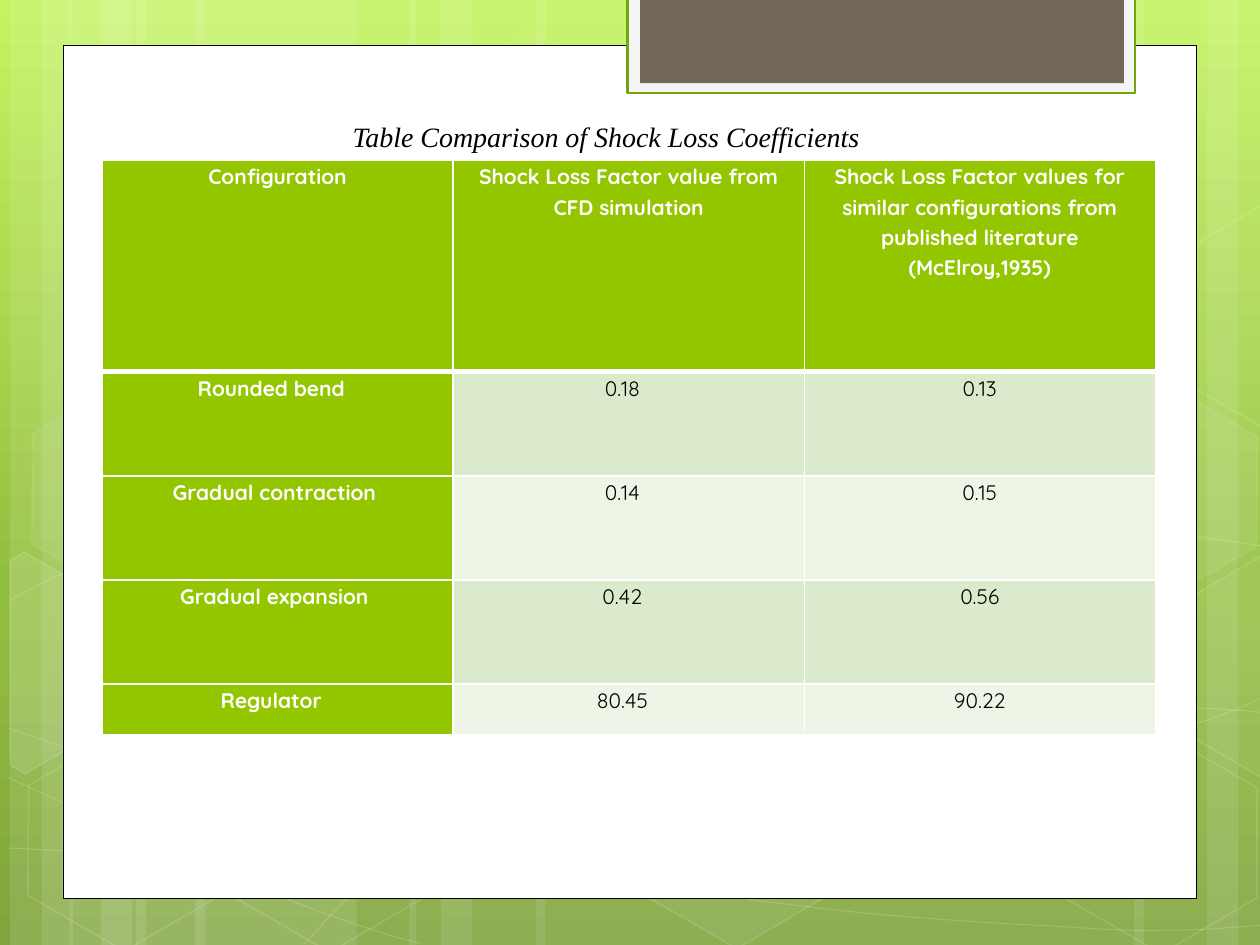
import copy
import math
from typing import NamedTuple, Optional

import pptx
import pptx.dml.color
import pptx.enum.shapes
import pptx.enum.text
import pptx.oxml
import pptx.oxml.ns
import pptx.util
from pptx.util import Inches

RGBColor = pptx.dml.color.RGBColor
Shape = pptx.enum.shapes.MSO_SHAPE
Align = pptx.enum.text.PP_ALIGN
qn = pptx.oxml.ns.qn

WHITE = RGBColor(0xFF, 0xFF, 0xFF)
BLACK = RGBColor(0, 0, 0)
GREEN = RGBColor(0x94, 0xC6, 0x00)
DARK_GREEN = RGBColor(0x74, 0xA5, 0x10)
BAND_DARK = RGBColor(0xDC, 0xEA, 0xCC)
BAND_LIGHT = RGBColor(0xEE, 0xF5, 0xE7)
TAB_EDGE = RGBColor(0xF5, 0xF5, 0xF5)
TAB_BROWN = RGBColor(0x71, 0x68, 0x5A)
SKY = [(0, RGBColor(0xC3, 0xF3, 0x5F)), (0.62, RGBColor(0x93, 0xBF, 0x3F)),
       (1, RGBColor(0x81, 0xA5, 0x3E))]
TILT = 30


class Panel(NamedTuple):
    left: float
    top: float
    width: float
    height: float
    fill: RGBColor
    line: Optional[RGBColor] = None
    weight: float = 0


class Curve(NamedTuple):
    """A start point, then three points per Bezier segment; straight_to is the
    index of the one point, if any, that is reached by a straight line."""
    points: list
    straight_to: Optional[int] = None


class Hexagon(NamedTuple):
    left: float
    top: float
    fill_alpha: int
    line_alpha: int


class CutHexagon(NamedTuple):
    """A hexagon trimmed at the slide edge, with its visible corners."""
    center: tuple
    corners: list
    fill_alpha: int


class Row(NamedTuple):
    """Texts of a table row, and extra right margins that shift them left."""
    height: float
    texts: tuple
    shifts: tuple = (0, 0, 0)


# Light stripes as (left, width)
STRIPES = [(1.08, 1.75), (0.08, 0.5), (0.33, 0.83), (1.55, 1.75), (0.55, 0.5), (0.8, 0.83),
           (7.33, 1.75), (9.58, 0.5), (9, 0.83), (4.25, 3.08), (3.25, 0.5), (3.5, 0.83)]

CURVES = [
    Curve([(0.07, 6.73), (0.61, 6.76), (1.15, 6.79), (1.9, 6.78), (2.65, 6.77), (3.58, 6.75),
           (4.58, 6.65), (5.58, 6.55), (7, 6.36), (7.92, 6.17), (8.83, 5.98), (9.77, 5.68),
           (10.07, 5.51)]),
    Curve([(0.07, 4.77), (0.36, 4.61), (0.65, 4.46), (1.21, 4.31), (1.78, 4.16), (2.59, 3.94),
           (3.47, 3.87), (4.36, 3.8), (5.44, 3.79), (6.54, 3.87), (7.64, 3.95), (9.47, 4.26),
           (10.07, 4.34)]),
    Curve([(0.06, 6.17), (1.27, 6.72), (2.47, 7.27), (3.34, 7.49)]),
    Curve([(0.07, 5.78), (0.38, 5.89), (0.7, 6), (1.28, 6.16), (1.86, 6.31), (2.73, 6.56),
           (3.57, 6.73), (4.4, 6.9), (5.45, 7.08), (6.28, 7.18), (7.11, 7.29), (8, 7.33),
           (8.53, 7.36), (9.05, 7.4), (9.19, 7.38), (9.45, 7.38), (9.71, 7.37), (9.89, 7.35),
           (10.07, 7.34)]),
    Curve([(2.42, 7.49), (2.6, 7.29), (2.78, 7.09), (3.02, 6.91), (3.26, 6.73), (3.6, 6.53),
           (3.88, 6.39), (4.16, 6.25), (4.33, 6.19), (4.7, 6.09), (5.06, 5.99), (5.73, 5.85),
           (6.08, 5.78), (6.44, 5.71), (6.49, 5.71), (6.8, 5.69), (7.11, 5.66), (7.6, 5.63),
           (7.94, 5.62), (8.29, 5.61), (8.86, 5.62), (8.86, 5.62), (9.53, 5.62), (9.71, 5.63),
           (9.88, 5.64), (9.97, 5.65), (10.06, 5.66), (10.03, 5.65), (10.06, 5.66)], 22),
]

HEXAGONS = [
    Hexagon(3.34, 0.36, 4, 8), Hexagon(4.97, 5.89, 6, 12), Hexagon(0.11, 5.91, 0, 12),
    Hexagon(0.14, 3.12, 7, 8), Hexagon(1.74, 5.92, 0, 12), Hexagon(7.53, 4.53, 10, 12),
    Hexagon(8.34, 5.93, 0, 12), Hexagon(8.34, 3.14, 7, 8),
]
CUT_HEXAGONS = [
    CutHexagon((0.36, 5.35), [(0.08, 4.45), (0.19, 4.38), (0.96, 4.82), (0.95, 5.7),
                              (0.2, 6.14), (0.08, 6.07)], 10),
    CutHexagon((9.85, 5.2), [(9.26, 4.85), (10.01, 4.41), (10.09, 4.46), (10.09, 6.13),
                             (10.02, 6.17), (9.26, 5.73)], 4),
    CutHexagon((9.85, 2.41), [(9.26, 2.07), (10.01, 1.63), (10.1, 1.68), (10.09, 3.35),
                              (10.02, 3.39), (9.26, 2.95)], 0),
]

PANELS = [
    Panel(0.5, 0.36, 9, 6.77, WHITE, BLACK, 0.5),
    Panel(4.98, -0.02, 4.03, 0.76, TAB_EDGE, DARK_GREEN, 1.25),
    Panel(5.08, -0.02, 3.84, 0.68, TAB_BROWN),
]

TABLE_WIDTH, TABLE_HEIGHT = 8.36, 4.56
HEADER_HEIGHT, LAST_HEIGHT = 1.68, 0.4
BODY_HEIGHT = (TABLE_HEIGHT - HEADER_HEIGHT - LAST_HEIGHT) / 3
ROWS = [
    Row(HEADER_HEIGHT, (
        "Configuration", "Shock Loss Factor value from CFD simulation",
        "Shock Loss Factor values for similar configurations from published literature\n"
        "(McElroy,1935)")),
    Row(BODY_HEIGHT, ("Rounded bend", "0.18", "0.13"), (0.1, 0.1, 0)),
    Row(BODY_HEIGHT, ("Gradual contraction", "0.14", "0.15"), (0.05, 0.1, 0)),
    Row(BODY_HEIGHT, ("Gradual expansion", "0.42", "0.56"), (0.05, 0.1, 0)),
    Row(LAST_HEIGHT, ("Regulator", "80.45", "90.22"), (0.1, 0.1, 0)),
]


def paint(fill, color: RGBColor, alpha: int, owner) -> None:
    """Fill solidly, or not at all when alpha is 0; owner is the XML parent."""
    if not alpha:
        fill.background()
        return
    fill.solid()
    fill.fore_color.rgb = color
    if alpha < 100:
        tint = owner.find(qn("a:solidFill")).find(qn("a:srgbClr"))
        tint.append(pptx.oxml.parse_xml(
            f'<a:alpha {pptx.oxml.ns.nsdecls("a")} val="{alpha * 1000}"/>'))


def style(shape, fill_alpha: int, line_alpha: int, weight: float,
          fill: RGBColor = WHITE, line: RGBColor = WHITE) -> None:
    shape.shadow.inherit = False
    properties = shape._element.spPr
    paint(shape.fill, fill, fill_alpha, properties)
    if line_alpha:
        shape.line.width = pptx.util.Pt(weight)
        paint(shape.line.fill, line, line_alpha, properties.find(qn("a:ln")))
    else:
        shape.line.fill.background()


def draw_outline(page, points: list, close: bool):
    corners = [(Inches(x), Inches(y)) for x, y in points]
    builder = page.shapes.build_freeform(*corners[0])
    builder.add_line_segments(corners[1:], close=close)
    return builder.convert_to_shape()


def draw_curve(page, curve: Curve) -> None:
    """Lay out the control points, then join them by threes into Beziers."""
    shape = draw_outline(page, curve.points, False)
    steps = list(shape._element.iter(qn("a:lnTo")))
    if curve.straight_to:
        steps.pop(curve.straight_to - 1)
    for first in range(0, len(steps), 3):
        bezier = pptx.oxml.parse_xml(f'<a:cubicBezTo {pptx.oxml.ns.nsdecls("a")}/>')
        steps[first].addprevious(bezier)
        for step in steps[first:first + 3]:
            bezier.append(step[0])
            step.getparent().remove(step)
    style(shape, 0, 20, 0.5)


def turn(point: tuple, center: tuple, degrees: float) -> tuple:
    angle = math.radians(degrees)
    x, y = point[0] - center[0], point[1] - center[1]
    return (center[0] + x * math.cos(angle) - y * math.sin(angle),
            center[1] + x * math.sin(angle) + y * math.cos(angle))


def draw_background(page) -> None:
    fill = page.background.fill
    fill.gradient()
    fill.gradient_angle = 270
    stop_list = next(page._element.iter(qn("a:gsLst")))
    stop_list.append(copy.deepcopy(stop_list[-1]))
    for stop, (position, color) in zip(fill.gradient_stops, SKY):
        stop.position = position
        stop.color.rgb = color

    for left, width in STRIPES:
        stripe = page.shapes.add_shape(Shape.RECTANGLE, Inches(left), 0, Inches(width), Inches(7.5))
        style(stripe, 10, 0, 0)
    for curve in CURVES:
        draw_curve(page, curve)
    for item in HEXAGONS:
        hexagon = page.shapes.add_shape(Shape.HEXAGON, Inches(item.left), Inches(item.top),
                                        Inches(1.75), Inches(1.52))
        hexagon.adjustments[0] = 0.285
        hexagon.rotation = TILT
        style(hexagon, item.fill_alpha, item.line_alpha, 1)
    for item in CUT_HEXAGONS:
        level = [turn(corner, item.center, -TILT) for corner in item.corners]
        hexagon = draw_outline(page, level, True)
        hexagon.rotation = TILT
        style(hexagon, item.fill_alpha, 12, 1)


def draw_panel(page, panel: Panel) -> None:
    shape = page.shapes.add_shape(Shape.RECTANGLE, Inches(panel.left), Inches(panel.top),
                                  Inches(panel.width), Inches(panel.height))
    style(shape, 100, 100 if panel.line else 0, panel.weight, panel.fill, panel.line)


def write(frame, text: str, font_name: str, size: float, color: RGBColor,
          bold: bool = False, italic: bool = False, spacing: Optional[float] = None) -> None:
    frame.text = text
    for para in frame.paragraphs:
        para.alignment = Align.CENTER
        para.line_spacing = spacing
        for span in para.runs:
            span.font.name, span.font.size = font_name, pptx.util.Pt(size)
            span.font.bold, span.font.italic = bold, italic
            span.font.color.rgb = color


def add_borders(cell, bottom: float) -> None:
    for side, weight in (("L", 1), ("R", 1), ("T", 1), ("B", bottom)):
        cell._tc.get_or_add_tcPr().append(pptx.oxml.parse_xml(
            f'<a:ln{side} {pptx.oxml.ns.nsdecls("a")} w="{pptx.util.Pt(weight)}">'
            f'<a:solidFill><a:srgbClr val="{WHITE}"/></a:solidFill></a:ln{side}>'))


def draw_table(page) -> None:
    table = page.shapes.add_table(len(ROWS), 3, Inches(0.81), Inches(1.27),
                                  Inches(TABLE_WIDTH), Inches(TABLE_HEIGHT)).table
    for column in table.columns:
        column.width = Inches(TABLE_WIDTH / 3)
    for r, row in enumerate(ROWS):
        table.rows[r].height = Inches(row.height)
        for c, (text, shift) in enumerate(zip(row.texts, row.shifts)):
            cell = table.cell(r, c)
            heading = r == 0 or c == 0
            add_borders(cell, bottom=3 if r == 0 else 1)
            cell.fill.solid()
            cell.fill.fore_color.rgb = GREEN if heading else BAND_DARK if r % 2 else BAND_LIGHT
            cell.margin_left, cell.margin_right = Inches(0.07), Inches(0.07 + shift)
            cell.margin_top = cell.margin_bottom = 0
            write(cell.text_frame, text, "Quicksand", 12, WHITE if heading else BLACK,
                  bold=heading, spacing=1.15)


def draw_caption(page) -> None:
    box = page.shapes.add_textbox(Inches(2.67), Inches(0.9), Inches(4.28), Inches(0.37))
    box.text_frame.word_wrap = False
    box.text_frame.vertical_anchor = pptx.enum.text.MSO_ANCHOR.MIDDLE
    write(box.text_frame, "Table Comparison of Shock Loss Coefficients", "Times New Roman",
          16, BLACK, italic=True)


def main() -> None:
    deck = pptx.Presentation()
    deck.slide_width, deck.slide_height = Inches(10), Inches(7.5)
    page = deck.slides.add_slide(deck.slide_layouts[6])
    draw_background(page)
    for panel in PANELS:
        draw_panel(page, panel)
    draw_table(page)
    draw_caption(page)
    deck.save("out.pptx")


if __name__ == "__main__":
    main()
